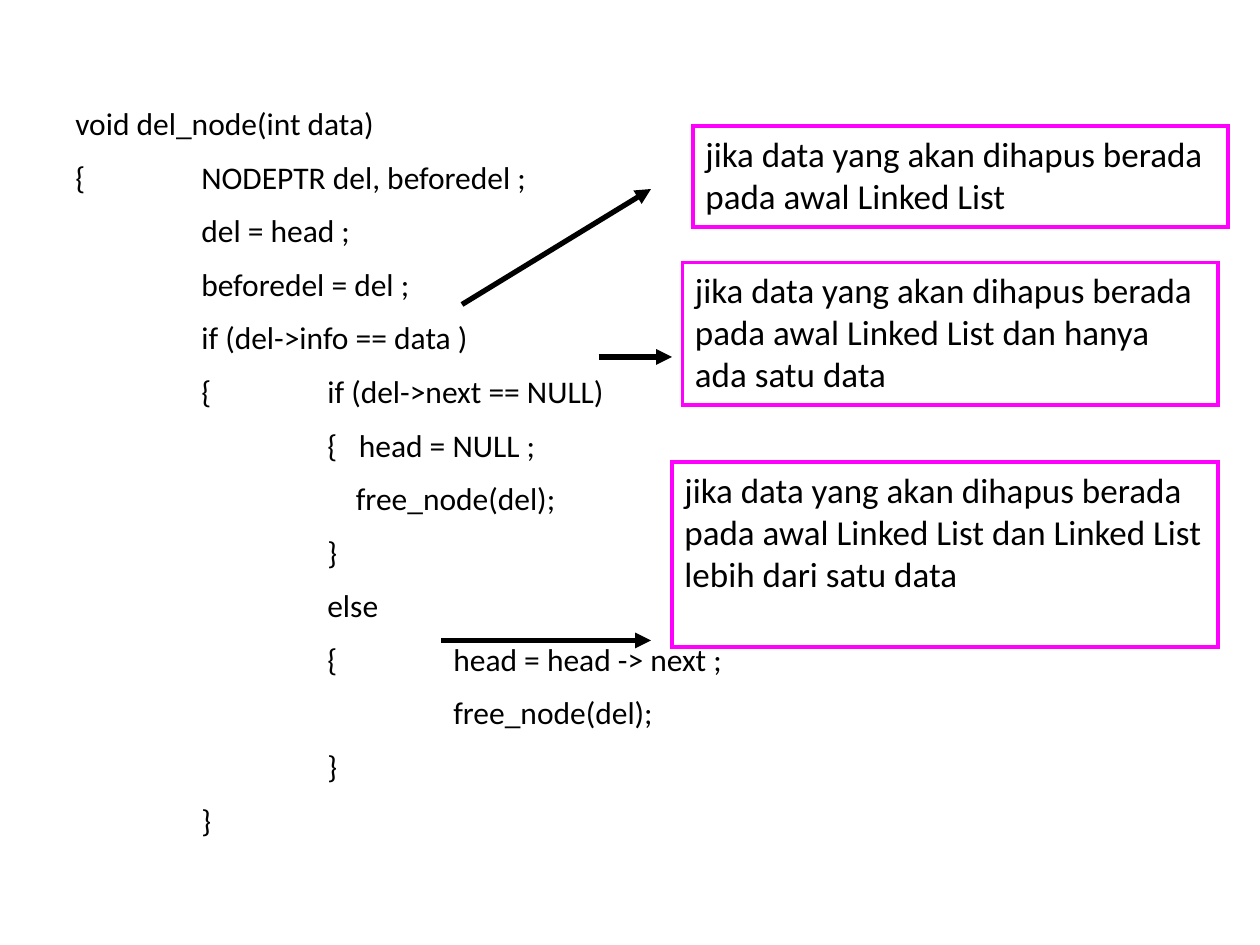
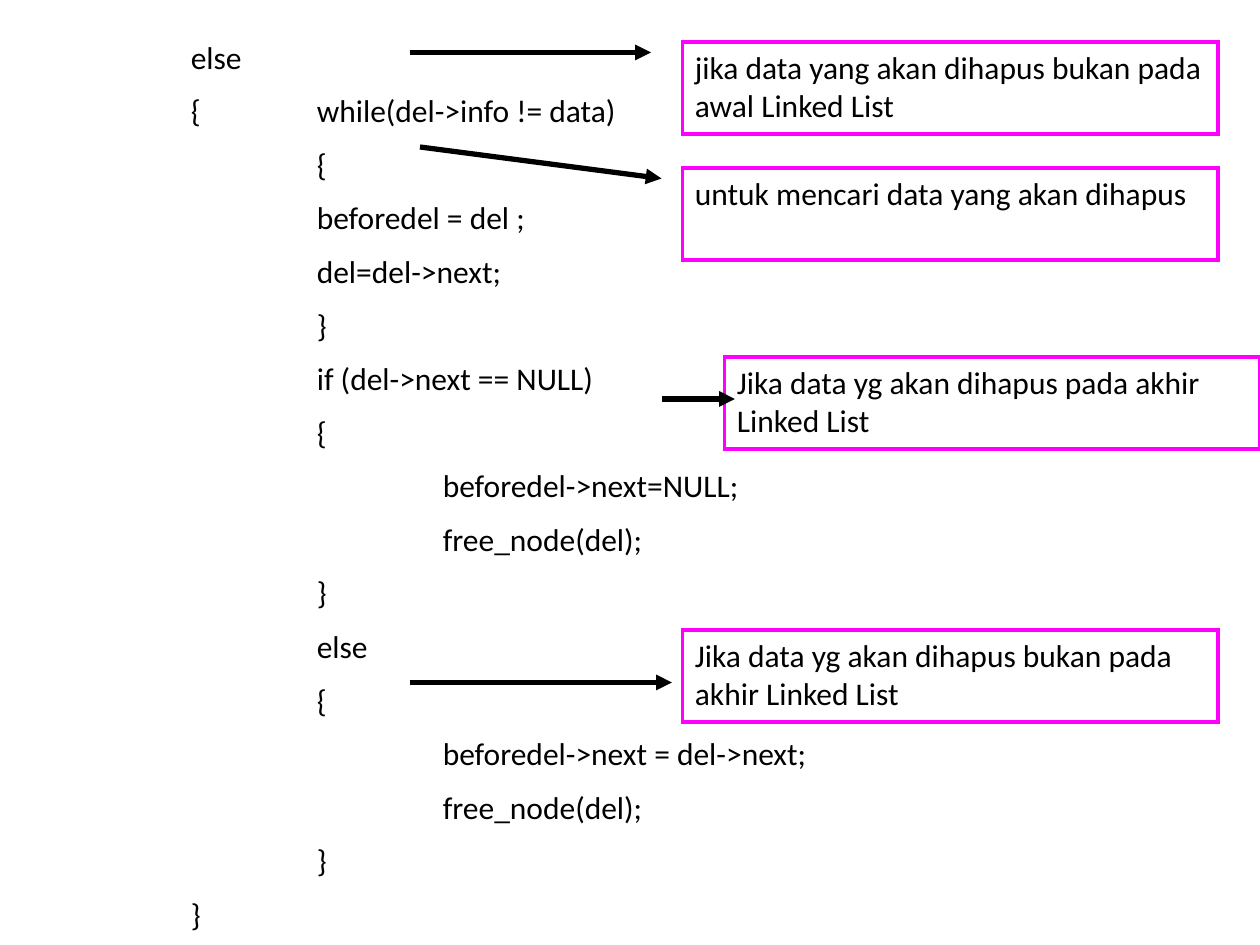
from dataclasses import dataclass

from lxml.etree import SubElement
from pptx import Presentation
from pptx.dml.color import RGBColor as RGB
from pptx.enum.shapes import MSO_CONNECTOR as Connector, MSO_SHAPE as Shape
from pptx.enum.text import MSO_ANCHOR as Anchor, PP_ALIGN as Align
from pptx.oxml.ns import qn
from pptx.util import Pt


@dataclass(frozen=True)
class Theme:
    """Colours, type sizes and line widths, in points."""
    font: str = "Calibri"
    ink: RGB = RGB(0x00, 0x00, 0x00)
    frame: RGB = RGB(0xFF, 0x00, 0xFF)
    code_size: float = 18
    code_gap: float = 9
    tab_step: float = 72
    frame_width: float = 2.25
    arrow_width: float = 3


THEME = Theme()
SLIDE_SIZE = (720, 540)


def set_all(target, values):
    for name, value in values.items():
        setattr(target, name, value)


def points(values):
    return [Pt(value) for value in values]


def write(paragraph, text, size):
    run = paragraph.add_run()
    run.text = text
    set_all(run.font, {"name": THEME.font, "size": Pt(size)})
    run.font.color.rgb = THEME.ink
    paragraph.alignment = Align.LEFT


def set_tab_stops(paragraph, last_stop):
    tab_list = SubElement(paragraph._p.get_or_add_pPr(), qn("a:tabLst"))
    for stop in (THEME.tab_step, 2 * THEME.tab_step, last_stop):
        SubElement(tab_list, qn("a:tab"), pos=str(Pt(stop)), algn="l")


def add_code(slide, box, lines):
    """Program listing: one paragraph a line, indented with tabs.

    A line may be a pair that also gives its own third tab stop.
    """
    frame = slide.shapes.add_textbox(*points(box)).text_frame
    frame.word_wrap = True
    for index, line in enumerate(lines):
        text, last_stop = line if isinstance(line, tuple) else (line, 3 * THEME.tab_step)
        paragraph = frame.add_paragraph() if index else frame.paragraphs[0]
        write(paragraph, text, THEME.code_size)
        if index:
            paragraph.space_before = Pt(THEME.code_gap)
        if "\t" in text:
            set_tab_stops(paragraph, last_stop)


def add_arrow(slide, start, end):
    arrow = slide.shapes.add_connector(Connector.STRAIGHT, *points(start + end))
    arrow.line.color.rgb = THEME.ink
    arrow.line.width = Pt(THEME.arrow_width)
    SubElement(arrow.line._get_or_add_ln(), qn("a:tailEnd"), type="triangle")
    SubElement(arrow._element.spPr, qn("a:effectLst"))


def add_note(slide, box, text, size, arrow):
    """Framed remark; the arrow's ends are offsets from the box's corner."""
    note = slide.shapes.add_shape(Shape.RECTANGLE, *points(box))
    note.shadow.inherit = False
    note.fill.background()
    note.line.color.rgb = THEME.frame
    note.line.width = Pt(THEME.frame_width)
    # Square corners
    SubElement(note.line._get_or_add_ln(), qn("a:miter"), lim="800000")
    set_all(note.text_frame, {"word_wrap": True, "vertical_anchor": Anchor.TOP})
    write(note.text_frame.paragraphs[0], text, size)

    left, top = box[:2]
    start, end = [(left + across, top + down) for across, down in arrow]
    add_arrow(slide, start, end)


def add_code_slide(presentation, code_box, lines, note_size, notes):
    slide = presentation.slides.add_slide(presentation.slide_layouts[6])
    add_code(slide, code_box, lines)
    for box, text, arrow in notes:
        add_note(slide, box, text, note_size, arrow)


# Deleting at the head of the list
HEAD_CODE = [
    "void del_node(int data)",
    "{\tNODEPTR del, beforedel ;",
    "\tdel = head ;",
    "\tbeforedel = del ;",
    "\tif (del->info == data )",
    "\t{\tif (del->next == NULL)",
    ("\t\t{\thead = NULL ;", 162),
    ("\t\t\tfree_node(del);", 160.3),
    "\t\t}",
    "\t\telse",
    "\t\t{\thead = head -> next ;",
    "\t\t\tfree_node(del);",
    "\t\t}",
    "\t}",
]
HEAD_NOTES = [
    ((396, 72, 306, 57.6),
     "jika data yang akan dihapus berada pada awal Linked List",
     ((-132, 102), (-24, 36))),
    ((390, 150, 306, 81.5),
     "jika data yang akan dihapus berada pada awal Linked List dan hanya ada satu data",
     ((-48, 54), (-6, 54))),
    ((384, 264, 312, 105.6),
     "jika data yang akan dihapus berada pada awal Linked List dan Linked List lebih dari satu data",
     ((-132, 102), (-12, 102))),
]

# Deleting further along the list
REST_CODE = [
    "\telse",
    "\t{\twhile(del->info != data)",
    "\t\t{",
    "\t\tbeforedel = del ;",
    "\t\tdel=del->next;",
    "\t\t}",
    "\t\tif (del->next == NULL)",
    "\t\t{",
    "\t\t\tbeforedel->next=NULL;",
    "\t\t\tfree_node(del);",
    "\t\t}",
    "\t\telse",
    "\t\t{",
    "\t\t\tbeforedel->next = del->next;",
    "\t\t\tfree_node(del);",
    "\t\t}",
    "\t}",
]
REST_NOTES = [
    ((390, 24, 306, 52.8),
     "jika data yang akan dihapus bukan pada awal Linked List",
     ((-156, 6), (-18, 6))),
    ((390, 96, 306, 52.8),
     "untuk mencari data yang akan dihapus",
     ((-150, -12), (-12, 6))),
    ((414, 204, 306, 52.8),
     "Jika data yg akan dihapus pada akhir Linked List",
     ((-36, 24), (6, 24))),
    ((390, 360, 306, 52.8),
     "Jika data yg akan dihapus bukan pada akhir Linked List",
     ((-156, 30), (-6, 30))),
]


def main():
    presentation = Presentation()
    width, height = points(SLIDE_SIZE)
    set_all(presentation, {"slide_width": width, "slide_height": height})
    add_code_slide(presentation, (36, 56, 684, 484), HEAD_CODE, 20, HEAD_NOTES)
    add_code_slide(presentation, (30, 18, 690, 522), REST_CODE, 18, REST_NOTES)
    presentation.save("out.pptx")


if __name__ == "__main__":
    main()
